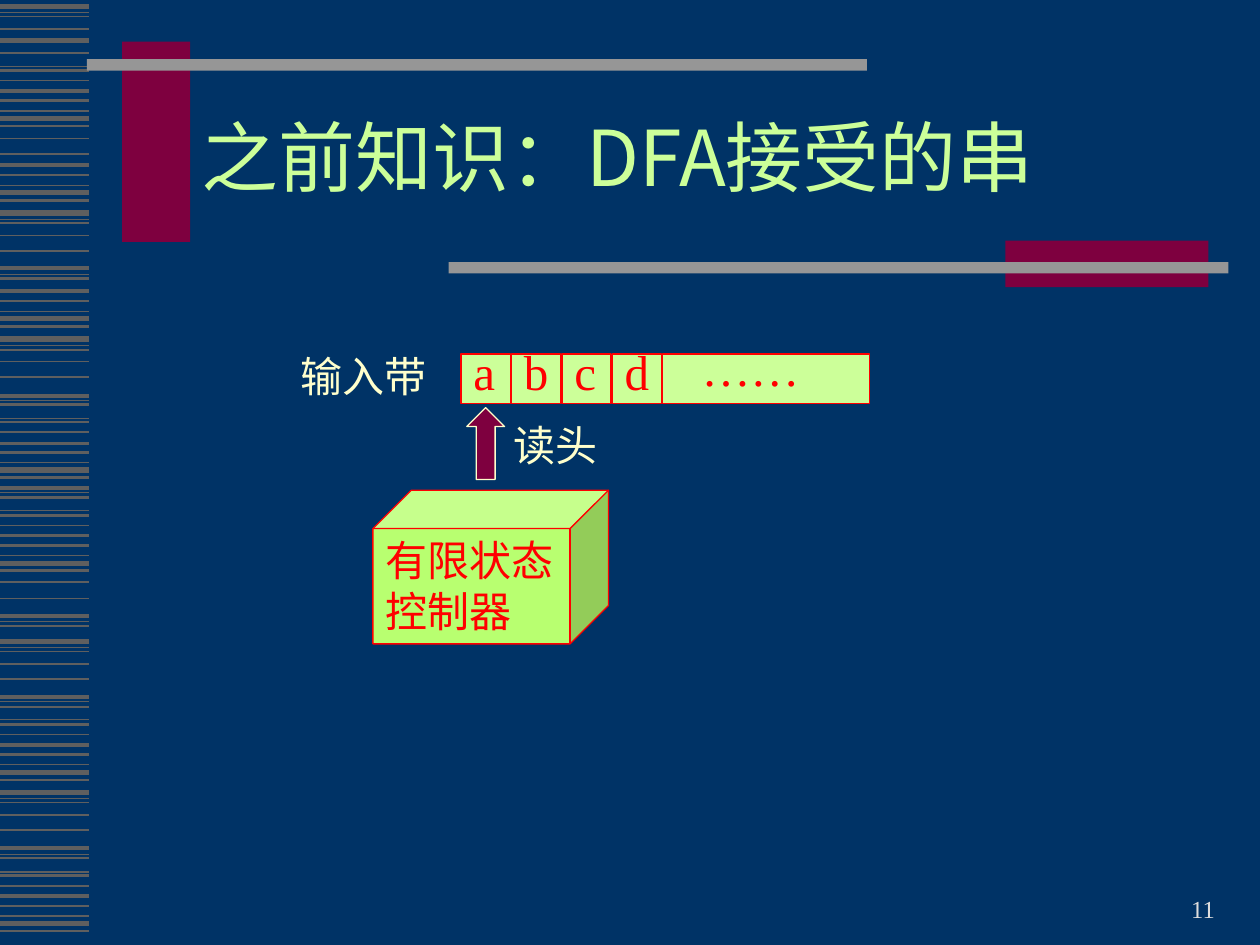
from lxml.etree import SubElement
from pptx import Presentation
from pptx.dml.color import RGBColor
from pptx.enum.shapes import MSO_CONNECTOR as Connector, MSO_SHAPE as Shape
from pptx.enum.text import MSO_ANCHOR as Anchor, PP_ALIGN as Align
from pptx.oxml.ns import qn
from pptx.util import Inches, Pt

NAVY = RGBColor(0x00, 0x33, 0x66)
STRIPE = RGBColor(0x5F, 0x5F, 0x5F)
GRAY = RGBColor(0x96, 0x96, 0x96)
PALE_GRAY = RGBColor(0xDD, 0xDD, 0xDD)
WINE = RGBColor(0x7E, 0x00, 0x3F)
LIME = RGBColor(0xCC, 0xFF, 0x99)
CUBE_GREEN = RGBColor(0xB8, 0xFF, 0x70)
RED = RGBColor(0xFF, 0x00, 0x00)
CREAM = RGBColor(0xFF, 0xFF, 0xCC)
SERIF = "Times New Roman"
SANS = "Noto Sans CJK SC"

deck = Presentation()
deck.slide_width, deck.slide_height = Inches(10), Inches(7.5)
page = deck.slides.add_slide(deck.slide_layouts[6])
page.background.fill.solid()
page.background.fill.fore_color.rgb = NAVY


def add_block(kind, place, fill, line=None):
    block = page.shapes.add_shape(kind, *map(Inches, place))
    block.shadow.inherit = False
    block.fill.solid()
    block.fill.fore_color.rgb = fill
    if line is None:
        block.line.fill.background()
    else:
        block.line.color.rgb = line
        block.line.width = Pt(0.74)
    return block


def write(box, lines, size, color, font=SERIF, wrap=True, anchor=Anchor.TOP, **formats):
    frame = box.text_frame
    frame.word_wrap = wrap
    frame.vertical_anchor = anchor
    frame.text = lines
    for para in frame.paragraphs:
        for name, value in {"alignment": Align.LEFT, **formats}.items():
            setattr(para, name, value)
        for span in para.runs:
            for name, value in {"size": Pt(size), "name": font}.items():
                setattr(span.font, name, value)
            span.font.color.rgb = color
            SubElement(span.font._element, qn("a:ea")).set("typeface", SANS)


stripes = {
    0.74: [0.1, 0.53, 0.88, 1.47, 1.74, 2.18, 2.47, 2.74, 3.18, 3.32, 3.67, 3.91, 4.05,
           4.41, 4.93, 5.14, 5.57, 5.71, 6.07, 6.34, 6.78, 6.92, 7.27],
    0.99: [0.13, 0.23, 0.64, 1.1, 1.22, 1.77, 1.87, 1.99, 2.78, 2.87, 2.99, 3.43, 4.17,
           4.62, 4.75, 5.17, 5.27, 5.39, 5.83, 6.37, 6.47, 6.59, 7.03],
    1.5: [0.42, 0.56, 0.8, 1, 1.39, 1.59, 2.21, 2.39, 2.59, 3.21, 3.35, 3.59, 3.79, 3.95,
          4.09, 4.33, 4.53, 4.97, 5.61, 5.75, 5.99, 6.19, 6.81, 6.95, 7.19, 7.39],
    2.24: [0.72, 1.31, 2.13, 2.31, 3.14, 3.52, 3.87, 4.25, 4.89, 5.53, 5.91, 6.73, 7.11],
    3: [0.05, 0.32, 0.94, 1.53, 1.69, 2.53, 2.69, 3.73, 4.47, 5.09, 6.13, 6.29, 7.33],
}
for weight, heights in stripes.items():
    for y in heights:
        stripe = page.shapes.add_connector(
            Connector.STRAIGHT, 0, Inches(y), Inches(0.71), Inches(y))
        stripe.line.color.rgb = STRIPE
        stripe.line.width = Pt(weight)
        SubElement(stripe._element.spPr, qn("a:effectLst"))

for place, fill in [
    ((0.97, 0.33, 0.54, 1.59), WINE),
    ((0.69, 0.47, 6.19, 0.09), GRAY),
    ((7.98, 1.91, 1.61, 0.37), WINE),
    ((3.56, 2.08, 6.19, 0.09), GRAY),
]:
    add_block(Shape.RECTANGLE, place, fill)

number = page.shapes.add_textbox(*map(Inches, (7.34, 6.88, 2.4, 0.5)))
write(number, "11", 14, PALE_GRAY, anchor=Anchor.BOTTOM, alignment=Align.RIGHT)
title = page.shapes.add_textbox(*map(Inches, (1.5, 0.67, 8.07, 1.25)))
write(title, "之前知识：DFA接受的串", 44, LIME, SANS, anchor=Anchor.MIDDLE, line_spacing=0.85)

for index, symbol in enumerate("abcd"):
    left = 3.66 + 0.4 * index
    add_block(Shape.RECTANGLE, (left, 2.81, 0.39, 0.39), LIME, RED)
    label = page.shapes.add_textbox(*map(Inches, (left, 2.66, 0.47, 0.57)))
    write(label, symbol, 28, RED)
add_block(Shape.RECTANGLE, (5.26, 2.81, 1.64, 0.39), LIME, RED)

for words, place, size, color in [
    ("……", (5.47, 2.63, 1.97, 0.57), 28, RED),
    ("输入带", (2.29, 2.73, 1.5, 0.5), 24, CREAM),
    ("读头", (3.98, 3.28, 1.5, 0.5), 24, CREAM),
]:
    label = page.shapes.add_textbox(*map(Inches, place))
    write(label, words, size, color)

head_arrow = add_block(Shape.RIGHT_ARROW, (3.57, 3.37, 0.57, 0.3), WINE, CREAM)
head_arrow.rotation = 270

controller = add_block(Shape.CUBE, (2.96, 3.89, 1.87, 1.22), CUBE_GREEN, RED)
write(controller, "有限状态\n控制器", 24, RED, wrap=False)

deck.save("out.pptx")
